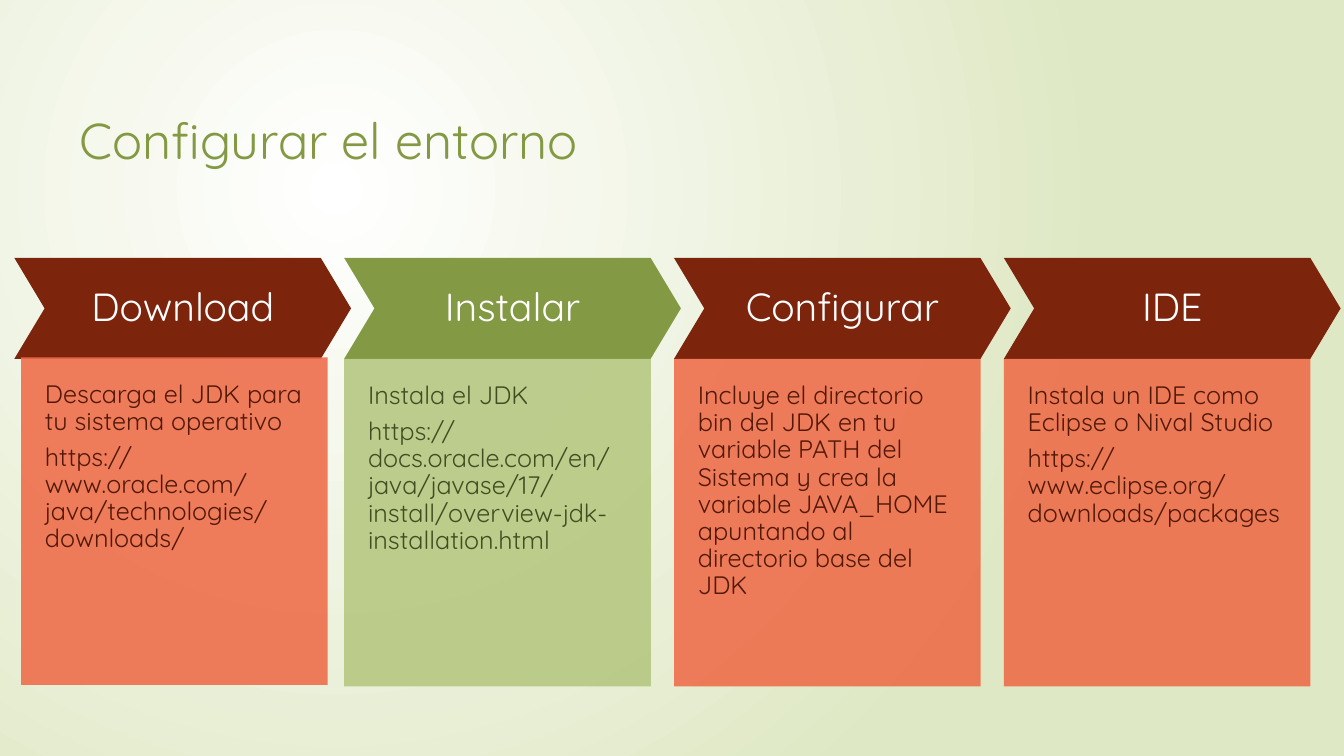
from lxml import etree
from pptx import Presentation
from pptx.dml.color import RGBColor
from pptx.enum.shapes import MSO_SHAPE as SHAPE
from pptx.enum.text import MSO_ANCHOR as ANCHOR, PP_ALIGN as ALIGN
from pptx.oxml.ns import qn
from pptx.util import Pt

FONT = "Quicksand"
COLORS = {
    "white": "FFFFFF", "pale": "DFE8C4", "title": "839943",
    "red_head": "7C240C", "red_body": "EE6E4B", "red_text": "521808",
    "green_head": "839943", "green_body": "B6C882", "green_text": "424D22",
}

# Column geometry in points
LEFT, TOP, STEP = 10.3, 184.3, 235.6
HEAD_W, HEAD_H = 240.5, 72
BODY_W, BODY_H = 219, 234

# Heading, palette, body paragraphs, body offset (x, y)
STEPS = [
    ("Download", "red",
     ["Descarga el JDK para tu sistema operativo",
      "https://www.oracle.com/java/technologies/downloads/"], (4.8, -1)),
    ("Instalar", "green",
     ["Instala el JDK",
      "https://docs.oracle.com/en/java/javase/17/install/"
      "overview-jdk-installation.html"], (0, 0)),
    ("Configurar", "red",
     ["Incluye el directorio bin del JDK en tu variable PATH del Sistema "
      "y crea la variable JAVA_HOME apuntando al directorio base del JDK"],
     (0, 0)),
    ("IDE", "red",
     ["Instala un IDE como Eclipse o Nival Studio",
      "https://www.eclipse.org/downloads/packages"], (0, 0)),
]


def rgb(name):
    return RGBColor.from_string(COLORS[name])


def set_background(slide):
    fill = slide.background.fill
    fill.gradient()
    for stop, name, pos in zip(fill.gradient_stops, ("white", "pale"), (0, 1)):
        stop.color.rgb = rgb(name)
        stop.position = pos
    # Circular gradient centred on the upper left quarter
    lin = slide.background._cSld.find(".//" + qn("a:lin"))
    path = etree.Element(qn("a:path"), {"path": "circle"})
    etree.SubElement(path, qn("a:fillToRect"),
                     {"l": "50000", "t": "50000", "r": "100000", "b": "100000"})
    lin.getparent().replace(lin, path)


def write(sp, paragraphs, size, color, align=ALIGN.LEFT, anchor=ANCHOR.MIDDLE,
          margins=(7.2, 3.6, 7.2, 3.6), spacing=1.0, after=0):
    tf = sp.text_frame
    tf.word_wrap = True
    tf.vertical_anchor = anchor
    tf.margin_left, tf.margin_top, tf.margin_right, tf.margin_bottom = map(Pt, margins)
    for i, text in enumerate(paragraphs):
        p = tf.add_paragraph() if i else tf.paragraphs[0]
        p.text = text
        p.alignment = align
        p.line_spacing = spacing
        p.space_after = Pt(after)
        font = p.runs[0].font
        font.name, font.size = FONT, Pt(size)
        font.color.rgb = rgb(color)


def add_block(slide, kind, x, y, w, h, color, opacity=100):
    sp = slide.shapes.add_shape(kind, Pt(x), Pt(y), Pt(w), Pt(h))
    sp.shadow.inherit = False
    sp.line.fill.background()
    sp.fill.solid()
    sp.fill.fore_color.rgb = rgb(color)
    if opacity < 100:
        clr = sp._element.spPr.find(qn("a:solidFill")).find(qn("a:srgbClr"))
        etree.SubElement(clr, qn("a:alpha"), {"val": str(opacity * 1000)})
    return sp


def add_title(slide, text):
    sp = slide.shapes.add_textbox(Pt(49.7), Pt(49), Pt(856), Pt(100.8))
    write(sp, [text], 36, "title")


def add_step(slide, x, heading, palette, paragraphs, offset):
    head = add_block(slide, SHAPE.CHEVRON, x, TOP, HEAD_W, HEAD_H, palette + "_head")
    head.adjustments[0] = 0.3
    write(head, [heading], 28, "white", ALIGN.CENTER,
          margins=(8.6, 8.6, 8.6, 8.6), spacing=0.9)

    dx, dy = offset
    body = add_block(slide, SHAPE.RECTANGLE, x + dx, TOP + HEAD_H + dy,
                     BODY_W, BODY_H, palette + "_body", 90)
    write(body, paragraphs, 18, palette + "_text", anchor=ANCHOR.TOP,
          margins=(17, 17, 17, 34), spacing=0.9, after=6.3)


def main():
    prs = Presentation()
    prs.slide_width, prs.slide_height = Pt(960), Pt(540)
    slide = prs.slides.add_slide(prs.slide_layouts[6])
    set_background(slide)
    add_title(slide, "Configurar el entorno")
    for i, step in enumerate(STEPS):
        add_step(slide, LEFT + i * STEP, *step)
    prs.save("out.pptx")


if __name__ == "__main__":
    main()
